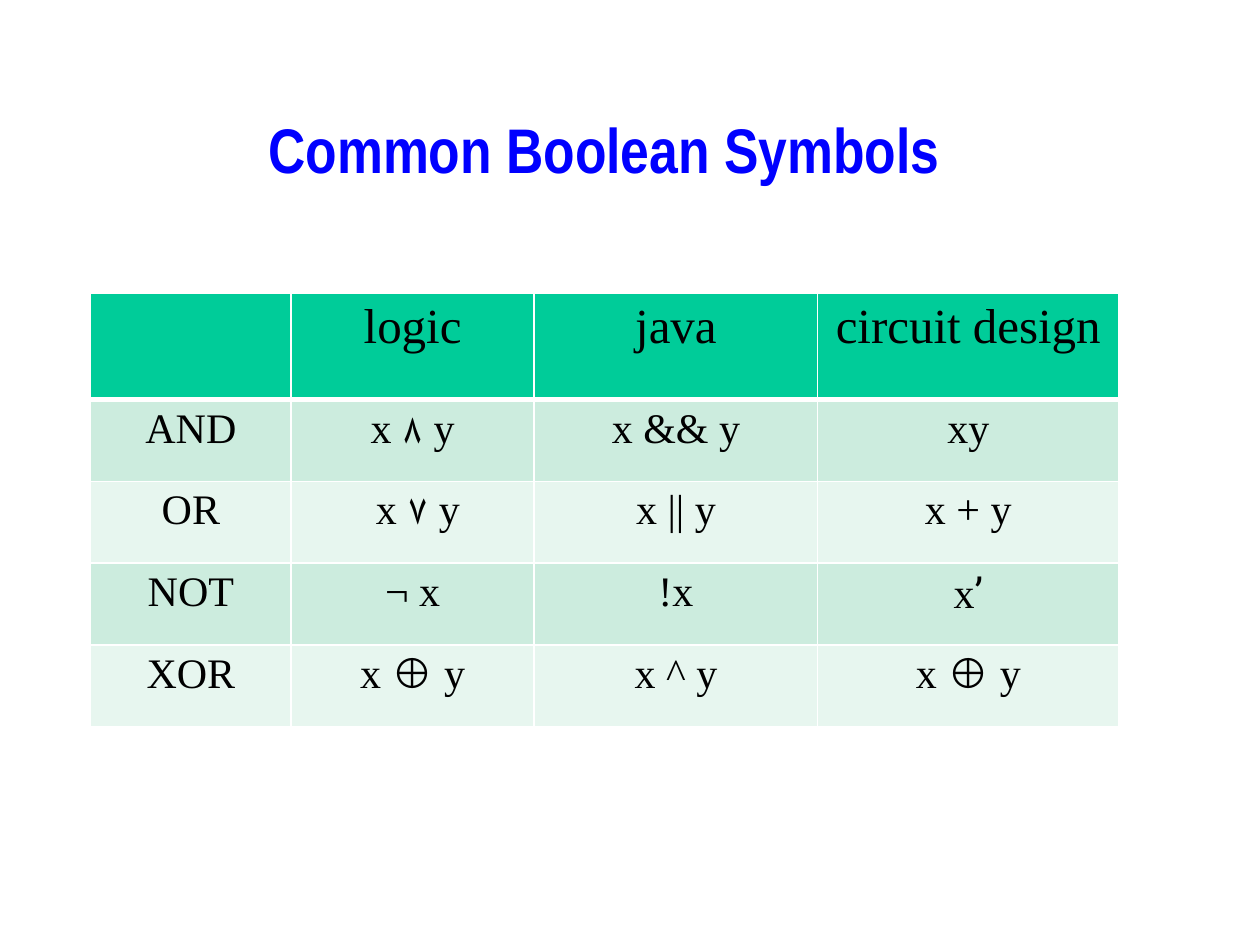
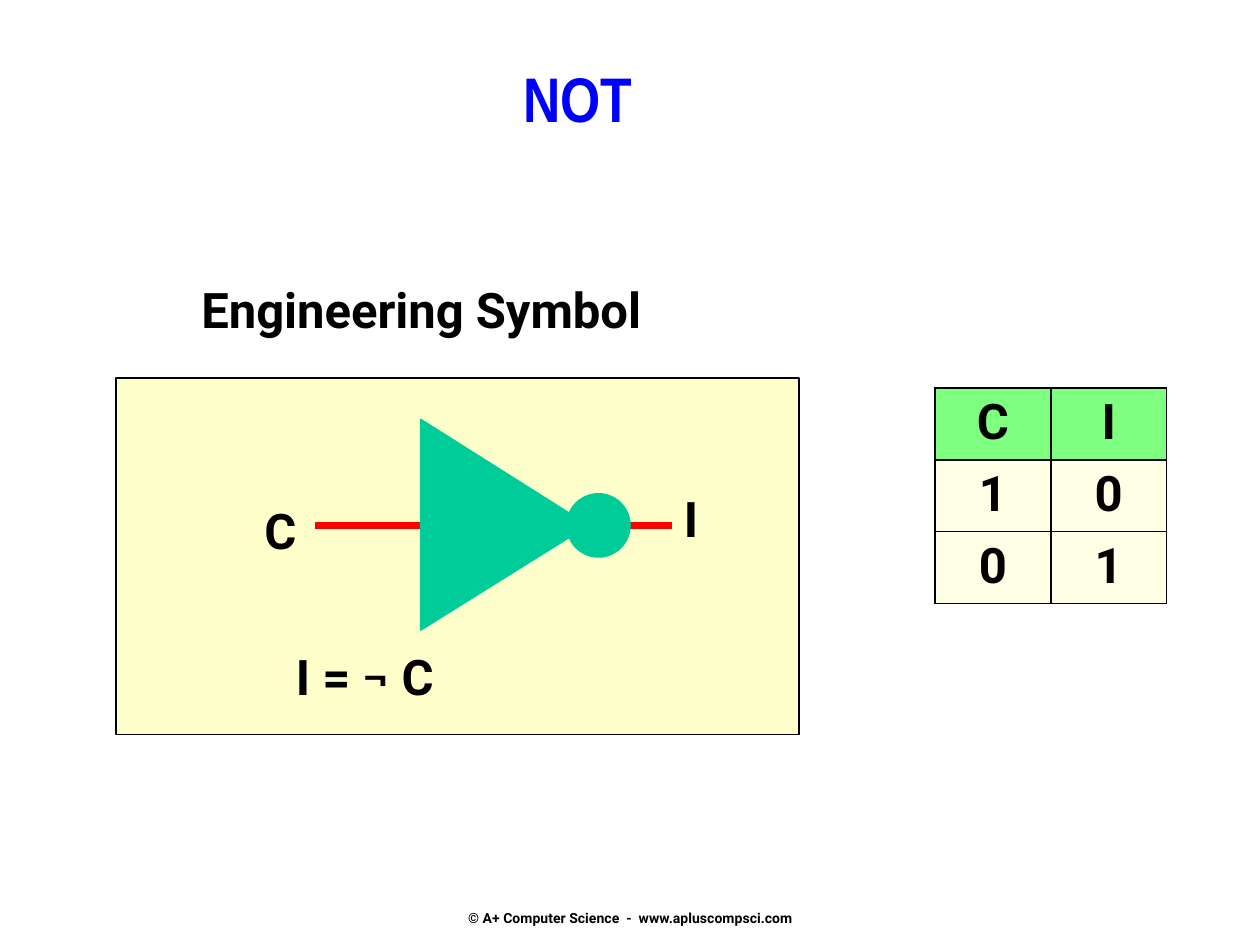
import pptx
import pptx.dml.color
import pptx.enum.shapes
import pptx.enum.text
import pptx.oxml
import pptx.oxml.ns
import pptx.util
from pptx.util import Inches

COLORS = {
    "title": "0000FF", "title outline": "FFFF00", "text": "000000",
    "gate": "00CC99", "wire": "FF0000", "panel": "FFFFCC",
    "dark band": "CCECDE", "light band": "E7F6EF",
    "truth header": "00FF00", "white": "FFFFFF",
}
RGB = {name: pptx.dml.color.RGBColor.from_string(value) for name, value in COLORS.items()}
NAMESPACE = pptx.oxml.ns.nsdecls("a")
SOLID_LINE = '<a:{tag} {namespace} w="{width}"><a:solidFill><a:srgbClr val="{color}"/></a:solidFill></a:{tag}>'
CENTER = pptx.enum.text.PP_ALIGN.CENTER
SHAPES = pptx.enum.shapes.MSO_SHAPE


def add_text(slide, text, left, top, width, height, size=28, font="Roboto", color="text", align=None):
    """Add one bold line of text and return its text box."""
    box = slide.shapes.add_textbox(Inches(left), Inches(top), Inches(width), Inches(height))
    box.text_frame.word_wrap = False
    box.text_frame.text = text
    paragraph = box.text_frame.paragraphs[0]
    paragraph.alignment = align
    run = paragraph.runs[0]
    run.font.name = font
    run.font.size = pptx.util.Pt(size)
    run.font.bold = True
    run.font.color.rgb = RGB[color]
    return box


def add_grid(slide, rows, left, top, widths, heights, fills, sizes, font, bold, border, header_rule=1, alpha=100):
    """Add a bordered table; fills and sizes hold one entry per row."""
    table = slide.shapes.add_table(len(rows), len(widths), Inches(left), Inches(top),
                                   Inches(sum(widths)), Inches(sum(heights))).table
    table.first_row = False
    table.horz_banding = False
    for column, width in zip(table.columns, widths):
        column.width = Inches(width)
    for row_index, texts in enumerate(rows):
        table.rows[row_index].height = Inches(heights[row_index])
        for column_index, text in enumerate(texts):
            cell = table.cell(row_index, column_index)
            cell.fill.solid()
            cell.fill.fore_color.rgb = RGB[fills[row_index]]
            properties = cell._tc.get_or_add_tcPr()
            if alpha < 100:
                color = properties.find(".//" + pptx.oxml.ns.qn("a:srgbClr"))
                color.append(pptx.oxml.parse_xml(f'<a:alpha {NAMESPACE} val="{alpha * 1000}"/>'))
            for position, tag in enumerate(("lnL", "lnR", "lnT", "lnB")):
                touches_rule = (row_index, tag) in ((0, "lnB"), (1, "lnT"))
                points = header_rule if touches_rule else 1
                properties.insert(position, pptx.oxml.parse_xml(SOLID_LINE.format(
                    tag=tag, namespace=NAMESPACE, width=pptx.util.Pt(points), color=COLORS[border])))
            cell.text_frame.text = text
            paragraph = cell.text_frame.paragraphs[0]
            paragraph.alignment = CENTER
            paragraph.font.size = pptx.util.Pt(sizes[row_index])
            for run in paragraph.runs:
                run.font.name = font
                run.font.size = pptx.util.Pt(sizes[row_index])
                run.font.bold = bold
                run.font.color.rgb = RGB["text"]
    return table


presentation = pptx.Presentation()
presentation.slide_width = Inches(10)
presentation.slide_height = Inches(7.5)
blank = presentation.slide_layouts[6]
symbols_slide = presentation.slides.add_slide(blank)
not_slide = presentation.slides.add_slide(blank)

# Titles
for slide, title, bounds in (
    (symbols_slide, "Common Boolean Symbols", (0.92, 0.83, 7.75, 0.83)),
    (not_slide, "NOT", (1.92, 0.42, 5.33, 1.17)),
):
    title_box = add_text(slide, title, *bounds, size=36, font="Arial Narrow", color="title", align=CENTER)
    title_run = title_box.text_frame.paragraphs[0].runs[0]
    title_run.font._element.insert(0, pptx.oxml.parse_xml(SOLID_LINE.format(
        tag="ln", namespace=NAMESPACE, width=pptx.util.Pt(0.75), color=COLORS["title outline"])))

# Table of symbols
symbols = [
    ("", "logic", "java", "circuit design"),
    ("AND", "x ۸ y", "x && y", "xy"),
    ("OR", " x ۷ y", "x || y", "x + y"),
    ("NOT", "¬ x", "!x", "x"),
    ("XOR", "x ⊕ y", "x ^ y", "x ⊕ y"),
]
symbol_table = add_grid(
    symbols_slide, symbols, 0.72, 2.33, [1.59, 1.93, 2.25, 2.39], [0.84] + [0.65] * 4,
    ["gate"] + ["dark band", "light band"] * 2, [28] + [24] * 4,
    "Times New Roman", False, "white", header_rule=3)
prime = symbol_table.cell(3, 3).text_frame.paragraphs[0].add_run()
prime.text = "’"
prime.font.name = "Roboto"
prime.font.size = pptx.util.Pt(24)
prime.font.color.rgb = RGB["text"]

# NOT gate
panel = not_slide.shapes.add_shape(SHAPES.RECTANGLE, Inches(0.92), Inches(3), Inches(5.42), Inches(2.83))
wires = []
for start, end in ((2.5, 3.33), (4.58, 5.33)):
    wire = not_slide.shapes.add_connector(pptx.enum.shapes.MSO_CONNECTOR.STRAIGHT,
                                          Inches(start), Inches(4.17), Inches(end), Inches(4.17))
    wire.line.color.rgb = RGB["wire"]
    wire.line.width = pptx.util.Pt(4)
    wire._element.spPr.append(pptx.oxml.parse_xml(f"<a:effectLst {NAMESPACE}/>"))
outline = not_slide.shapes.build_freeform(Inches(3.34), Inches(3.33))
outline.add_line_segments([(Inches(4.67), Inches(4.17)), (Inches(3.34), Inches(5))], close=True)
triangle = outline.convert_to_shape()
bubble = not_slide.shapes.add_shape(SHAPES.OVAL, Inches(4.5), Inches(3.92), Inches(0.5), Inches(0.5))
for shape, fill, line in ((panel, "panel", "text"), (triangle, "gate", "gate"), (bubble, "gate", "gate")):
    shape.shadow.inherit = False
    shape.fill.solid()
    shape.fill.fore_color.rgb = RGB[fill]
    shape.line.color.rgb = RGB[line]
    shape.line.width = pptx.util.Pt(1)

for label, left, top, width in (
    ("Engineering Symbol", 1.5, 2.17, 4.1),
    ("C", 2, 3.92, 0.46),
    ("I", 5.33, 3.83, 0.39),
    ("I = ¬ C", 2.25, 5.08, 1.74),
):
    add_text(not_slide, label, left, top, width, 0.57)

# Truth table
add_grid(not_slide, [("C", "I"), ("1", "0"), ("0", "1")], 7.42, 3.08, [0.92] * 2, [0.57] * 3,
         ["truth header", "panel", "panel"], [28] * 3, "Roboto", True, "text", alpha=50)

# Footer
footer = add_text(not_slide, "© A+ Computer Science  -  www.apluscompsci.com",
                  3.42, 6.9, 3.17, 0.5, size=8, align=CENTER)
footer.text_frame.vertical_anchor = pptx.enum.text.MSO_ANCHOR.BOTTOM

presentation.save("out.pptx")
